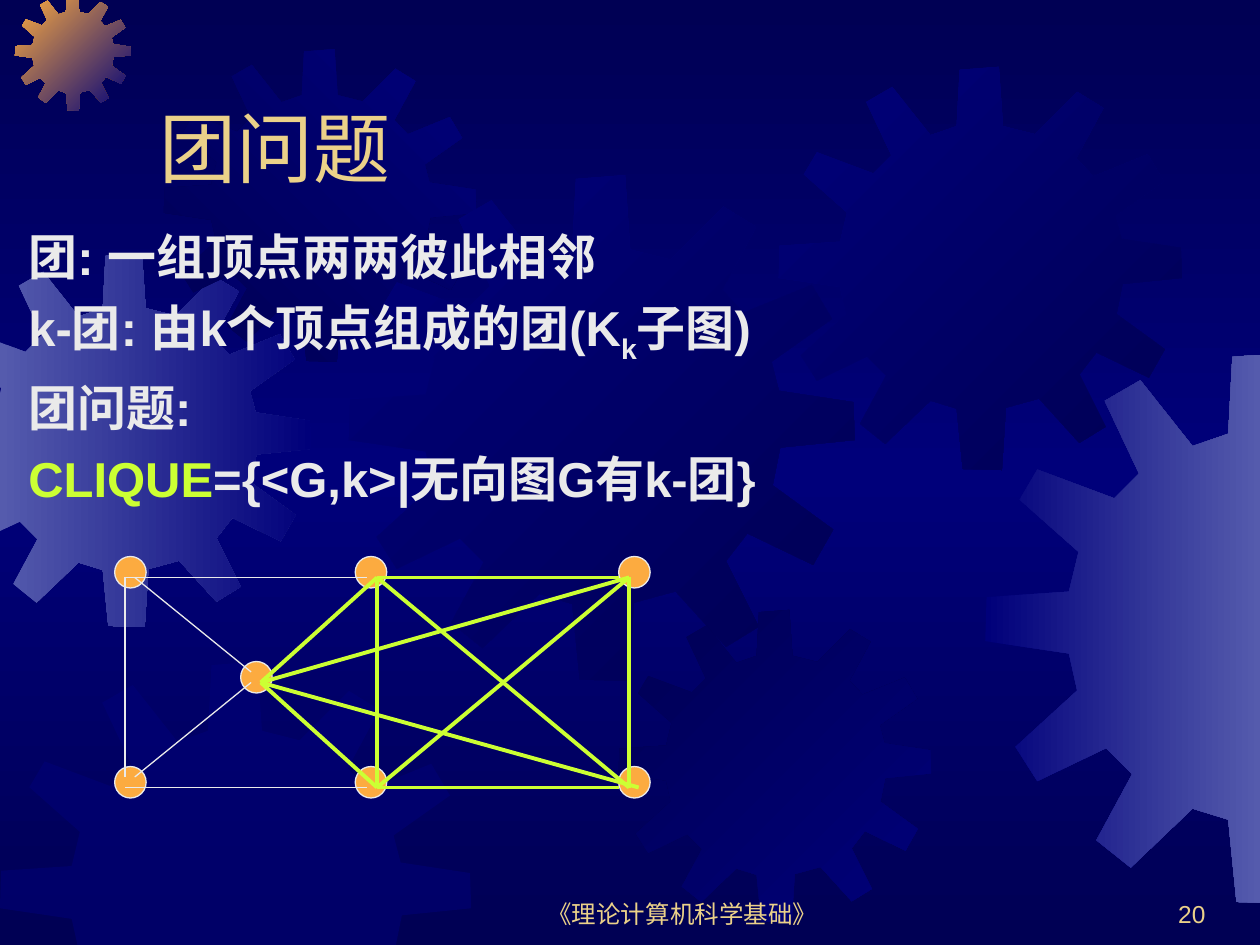
import copy

import pptx
import pptx.dml.color
import pptx.enum.shapes
import pptx.enum.text
import pptx.oxml
import pptx.oxml.ns
import pptx.util

Pt = pptx.util.Pt
ALIGN = pptx.enum.text.PP_ALIGN
ANCHOR = pptx.enum.text.MSO_ANCHOR

WIDTH, HEIGHT = 720, 540
COLORS = {
    "night": "000054", "navy": "00007A", "haze": "555BAD", "orange": "FCAB40",
    "gold": "EBD189", "white": "EAEAEA", "lime": "CCFF33",
}

# Content
TITLE = "团问题"
BODY = [
    [("团: 一组顶点两两彼此相邻", "white", False)],
    [("k-团: 由k个顶点组成的团(K", "white", False), ("k", "white", True), ("子图)", "white", False)],
    [("团问题:", "white", False)],
    [("CLIQUE", "lime", False), ("={<G,k>|无向图G有k-团}", "white", False)],
]
# text, alignment, (left, top, width, height)
FOOTERS = [
    ("《理论计算机科学基础》", ALIGN.CENTER, (276, 498, 228, 36)),
    ("20", ALIGN.RIGHT, (546, 498, 150, 36)),
]

# One gear outline, drawn on a square of GEAR_SIZE units
GEAR_SIZE = 401
GEAR = [
    (255, 67), (223, 59), (219, 0), (180, 3), (177, 59), (151, 68), (113, 20), (87, 35),
    (112, 88), (94, 106), (38, 85), (25, 107), (68, 145), (61, 174), (1, 178), (0, 210),
    (61, 219), (67, 246), (22, 287), (38, 312), (88, 288), (107, 307), (81, 355), (106, 375),
    (151, 332), (177, 340), (183, 400), (222, 401), (226, 339), (259, 330), (299, 374), (325, 358),
    (299, 306), (316, 284), (368, 309), (384, 281), (336, 246), (342, 216), (401, 210), (400, 180),
    (341, 171), (335, 148), (383, 114), (367, 87), (313, 109), (296, 91), (323, 41), (297, 25),
]
# left, top, size, fill colours, clockwise gradient angle
GEARS = [
    (-35.5, 144.7, 213.5, ["haze", "navy"], 0),
    (8.6, -2.9, 66, ["orange", "navy"], 45),
    (93.6, 28.1, 178.6, ["night", "navy"], 315),
    (199.4, 100.1, 289, ["navy", "night"], 45),
    (0, 378, 269.3, ["navy"], 0),
    (353.5, 348.5, 178.6, ["night", "navy"], 45),
    (445, 38.2, 230.4, ["navy", "night"], 45),
    (563, 201.6, 314.6, ["navy", "haze"], 0),
]

# Graph: vertex corners, then edges by colour and width
VERTEX_SIZE = 18
VERTICES = [(65.5, 318), (65.5, 438), (137.5, 378), (203, 318), (203, 438), (353.5, 318), (353.5, 438)]
TOP, BOTTOM = 330, 450
HUB, MID, RIGHT = (149, 390), 215.5, 359.5
EDGES = [
    ("white", 0.75, [
        ((71.5, TOP), (71.5, 444)), ((71.5, TOP), (209.5, TOP)), ((71.5, BOTTOM), (209.5, BOTTOM)),
        ((77, TOP), (143.5, 384)), ((77, 444), (143.5, 390)),
    ]),
    ("lime", 2.25, [
        ((MID, TOP), (353.5, TOP)), ((MID, BOTTOM), (353.5, BOTTOM)),
        ((RIGHT, TOP), (RIGHT, BOTTOM)), ((MID, TOP), (MID, BOTTOM)),
        ((MID, TOP), (RIGHT, BOTTOM)), ((MID, BOTTOM), (RIGHT, TOP)),
        ((MID, TOP), HUB), (HUB, (MID, BOTTOM)), (HUB, (RIGHT, TOP)), (HUB, (365, BOTTOM)),
    ]),
]


def rgb(name):
    return pptx.dml.color.RGBColor.from_string(COLORS[name])


def clip(points, axis, limit, sign):
    """Keep the part of a polygon where sign * coordinate <= sign * limit."""
    kept = []
    for start, end in zip(points, points[1:] + points[:1]):
        start_in, end_in = (sign * p[axis] <= sign * limit for p in (start, end))
        if start_in:
            kept.append(start)
        if start_in != end_in:
            share = (limit - start[axis]) / (end[axis] - start[axis])
            kept.append(tuple(a + share * (b - a) for a, b in zip(start, end)))
    return kept


def set_gradient(fill, names, angle):
    fill.gradient()
    fill.gradient_angle = -angle % 360
    for stop, name, position in zip(fill.gradient_stops, names, (0, 1)):
        stop.color.rgb = rgb(name)
        stop.position = position


def add_gear(slide, left, top, size, names, angle):
    scale = size / GEAR_SIZE
    points = [(left + x * scale, top + y * scale) for x, y in GEAR]
    for axis, limit, sign in ((0, 0, -1), (1, 0, -1), (0, WIDTH, 1), (1, HEIGHT, 1)):
        points = clip(points, axis, limit, sign)
    points = [(Pt(x), Pt(y)) for x, y in points]
    builder = slide.shapes.build_freeform(*points[0])
    builder.add_line_segments(points[1:], close=True)
    gear = builder.convert_to_shape()
    gear.shadow.inherit = False
    gear.line.fill.background()
    if len(names) == 2:
        set_gradient(gear.fill, names, angle)
    else:
        gear.fill.solid()
        gear.fill.fore_color.rgb = rgb(names[0])
        color = gear.element.spPr.xpath("./a:solidFill/a:srgbClr")[0]
        color.append(pptx.oxml.parse_xml(f'<a:alpha {pptx.oxml.ns.nsdecls("a")} val="50000"/>'))


def place(box, bounds, anchor):
    for name, value in zip(("left", "top", "width", "height"), bounds):
        setattr(box, name, Pt(value))
    frame_format = {"word_wrap": True, "auto_size": pptx.enum.text.MSO_AUTO_SIZE.NONE, "vertical_anchor": anchor}
    for name, value in frame_format.items():
        setattr(box.text_frame, name, value)


def add_span(para, text, size, color, bold=False):
    span = para.add_run()
    span.text = text
    for name, value in {"name": "Arial", "size": Pt(size), "bold": bold}.items():
        setattr(span.font, name, value)
    span.font.color.rgb = rgb(color)
    return span


def main():
    deck = pptx.Presentation()
    deck.slide_width, deck.slide_height = Pt(WIDTH), Pt(HEIGHT)
    slide = deck.slides.add_slide(deck.slide_layouts[1])

    # Background: dark at both ends, lighter in the middle
    background = slide.background.fill
    set_gradient(background, ["night", "night"], 90)
    stops = slide.element.xpath(".//p:bg//a:gsLst")[0]
    stops.insert(1, copy.deepcopy(stops[0]))
    background.gradient_stops[1].position = 0.5
    background.gradient_stops[1].color.rgb = rgb("navy")

    for gear in GEARS:
        add_gear(slide, *gear)

    # Footer and page number
    for text, alignment, bounds in FOOTERS:
        box = slide.shapes.add_textbox(0, 0, 0, 0)
        place(box, bounds, ANCHOR.BOTTOM)
        para = box.text_frame.paragraphs[0]
        para.alignment = alignment
        add_span(para, text, 14, "gold")

    # Title and body, brought in front of the gears
    title, body = slide.placeholders
    for box in (title, body):
        box.element.getparent().append(box.element)
    place(title, (84, 24, 612, 90), ANCHOR.BOTTOM)
    para = title.text_frame.paragraphs[0]
    para.alignment = ALIGN.LEFT
    add_span(para, TITLE, 44, "gold")

    place(body, (9, 126, 648, 165), ANCHOR.TOP)
    for index, spans in enumerate(BODY):
        para = body.text_frame.add_paragraph() if index else body.text_frame.paragraphs[0]
        para.space_before = Pt(7 if index else 0)
        properties = para._p.get_or_add_pPr()
        properties.set("marL", "0")
        properties.set("indent", "0")
        properties.append(pptx.oxml.parse_xml(f'<a:buNone {pptx.oxml.ns.nsdecls("a")}/>'))
        for text, color, subscript in spans:
            span = add_span(para, text, 28, color, bold=True)
            if subscript:
                span.font._element.set("baseline", "-25000")

    # Graph vertices
    for left, top in VERTICES:
        vertex = slide.shapes.add_shape(
            pptx.enum.shapes.MSO_SHAPE.OVAL, Pt(left), Pt(top), Pt(VERTEX_SIZE), Pt(VERTEX_SIZE))
        vertex.shadow.inherit = False
        vertex.fill.solid()
        vertex.fill.fore_color.rgb = rgb("orange")
        vertex.line.color.rgb = rgb("white")
        vertex.line.width = Pt(0.75)

    # Graph edges, the clique in lime
    for color, width, edges in EDGES:
        for start, end in edges:
            edge = slide.shapes.add_connector(
                pptx.enum.shapes.MSO_CONNECTOR.STRAIGHT, *(Pt(value) for value in start + end))
            edge.line.color.rgb = rgb(color)
            edge.line.width = Pt(width)
            edge.element.spPr.append(pptx.oxml.parse_xml(f'<a:effectLst {pptx.oxml.ns.nsdecls("a")}/>'))

    deck.save("out.pptx")


if __name__ == "__main__":
    main()
